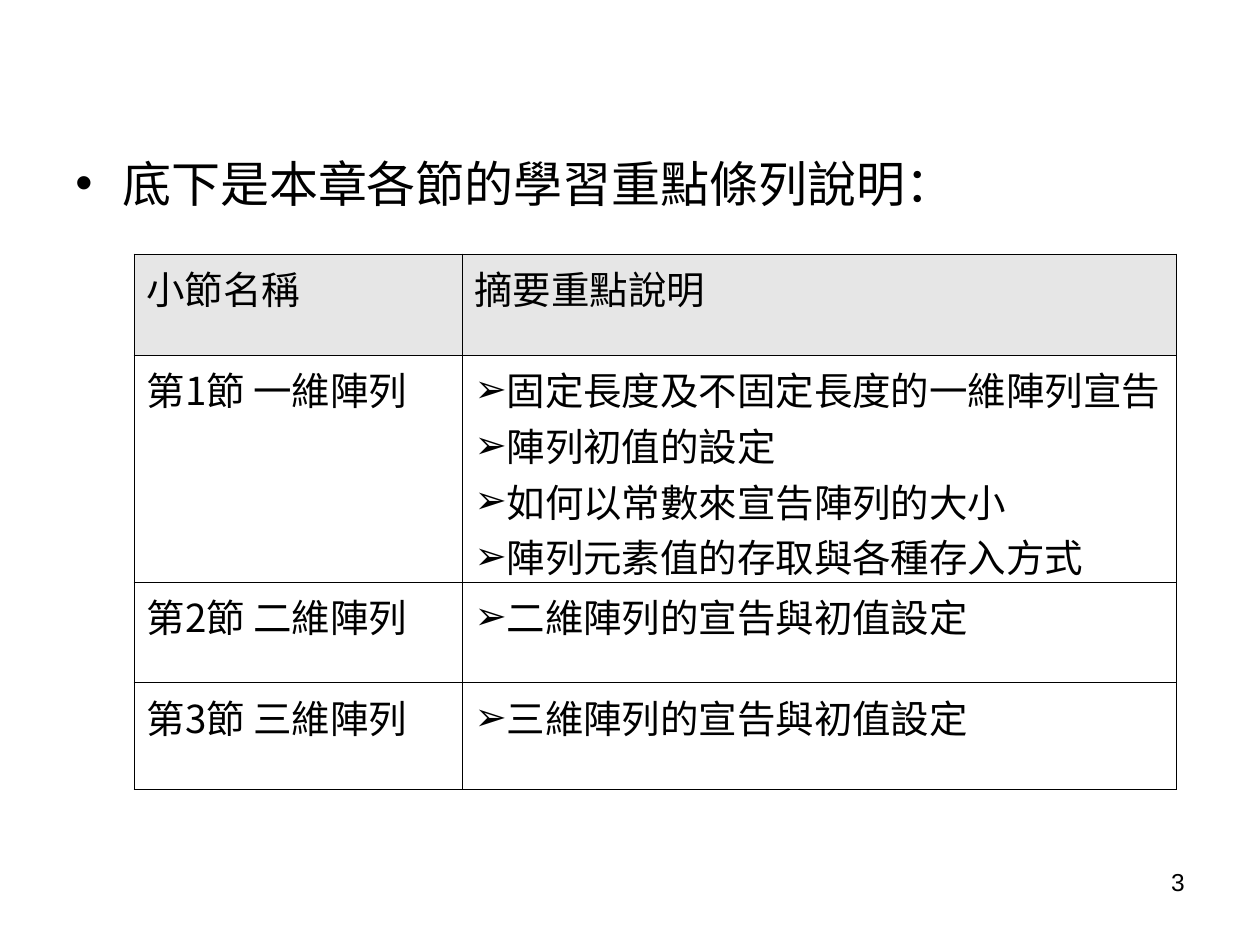
from dataclasses import dataclass

from lxml.etree import SubElement as sub_element
from pptx import Presentation
from pptx.dml.color import RGBColor as Rgb
from pptx.enum.text import PP_ALIGN as Align
from pptx.oxml import parse_xml
from pptx.oxml.ns import nsdecls, qn
from pptx.util import Pt

SCALE = 914400 // 126


@dataclass(frozen=True)
class Theme:
    """Colours, fonts and type sizes of the deck."""
    ink: str = "000000"
    header: str = "E6E6E6"
    paper: str = "FFFFFF"
    latin: str = "Arial"
    chinese: str = "Noto Sans CJK SC"
    lead_size: int = 28
    table_size: int = 22
    number_size: int = 14
    rule_width: float = 0.45


THEME = Theme()
SECTIONS = [
    ("小節名稱", ["摘要重點說明"]),
    ("第1節 一維陣列", [
        "固定長度及不固定長度的一維陣列宣告",
        "陣列初值的設定",
        "如何以常數來宣告陣列的大小",
        "陣列元素值的存取與各種存入方式",
    ]),
    ("第2節 二維陣列", ["二維陣列的宣告與初值設定"]),
    ("第3節 三維陣列", ["三維陣列的宣告與初值設定"]),
]


def px(length):
    """Turn pixels into EMU."""
    return length * SCALE


def add_bullet(para, mark, indent=0):
    """Give a paragraph a bullet and a hanging indent."""
    props = para._p.get_or_add_pPr()
    props.set("marL", str(px(indent)))
    props.set("indent", str(-px(indent)))
    colour = sub_element(props, qn("a:buClr"))
    sub_element(colour, qn("a:srgbClr"), val=THEME.ink)
    sub_element(props, qn("a:buFont"), typeface=THEME.latin)
    sub_element(props, qn("a:buChar"), char=mark)


def write(para, text, size, latin):
    """Add one styled run to a paragraph."""
    span = para.add_run()
    span.text = text
    for name, value in {"size": Pt(size), "name": latin}.items():
        setattr(span.font, name, value)
    span.font.color.rgb = Rgb.from_string(THEME.ink)
    sub_element(span._r.get_or_add_rPr(), qn("a:ea"), typeface=THEME.chinese)


def add_text(page, box, text, size, bullet=None, align=Align.LEFT):
    """Place a one-paragraph text box."""
    frame = page.shapes.add_textbox(*map(px, box)).text_frame
    frame.word_wrap = True
    para = frame.paragraphs[0]
    para.alignment = align
    if bullet:
        add_bullet(para, bullet, indent=47)
    write(para, text, size, THEME.latin)


def style_cell(cell, fill):
    """Fill a cell and rule its four sides."""
    cell.fill.solid()
    cell.fill.fore_color.rgb = Rgb.from_string(fill)
    props = cell._tc.get_or_add_tcPr()
    for index, side in enumerate("LRTB"):
        props.insert(index, parse_xml(
            f'<a:ln{side} {nsdecls("a")} w="{Pt(THEME.rule_width)}">'
            f'<a:solidFill><a:srgbClr val="{THEME.ink}"/></a:solidFill>'
            f'</a:ln{side}>'))


def fill_cell(cell, lines, bullet=None):
    """Write the lines of a cell, one paragraph each."""
    frame = cell.text_frame
    for index, line in enumerate(lines):
        para = frame.add_paragraph() if index else frame.paragraphs[0]
        if bullet:
            add_bullet(para, bullet)
        write(para, line, THEME.table_size, THEME.chinese)


def add_section_table(page, box, widths, heights):
    """Place the table of sections and their key points."""
    table = page.shapes.add_table(len(heights), len(widths), *map(px, box)).table
    for column, width in zip(table.columns, widths):
        column.width = px(width)
    for row, height in zip(table.rows, heights):
        row.height = px(height)
    for index, (section, points) in enumerate(SECTIONS):
        name_cell, points_cell = table.rows[index].cells
        for cell in (name_cell, points_cell):
            style_cell(cell, THEME.paper if index else THEME.header)
        fill_cell(name_cell, [section])
        fill_cell(points_cell, points, "➢" if index else None)


def main():
    """Build and save the deck."""
    deck = Presentation()
    deck.slide_width, deck.slide_height = px(1260), px(945)
    page = deck.slides.add_slide(deck.slide_layouts[6])
    add_text(page, (63, 147, 1092, 80), "底下是本章各節的學習重點條列說明：",
             THEME.lead_size, bullet="•")
    add_section_table(page, (134, 254, 1042, 536), (328, 714),
                      (101, 227, 101, 107))
    add_text(page, (903, 861, 294, 66), "3", THEME.number_size,
             align=Align.RIGHT)
    deck.save("out.pptx")


if __name__ == "__main__":
    main()
